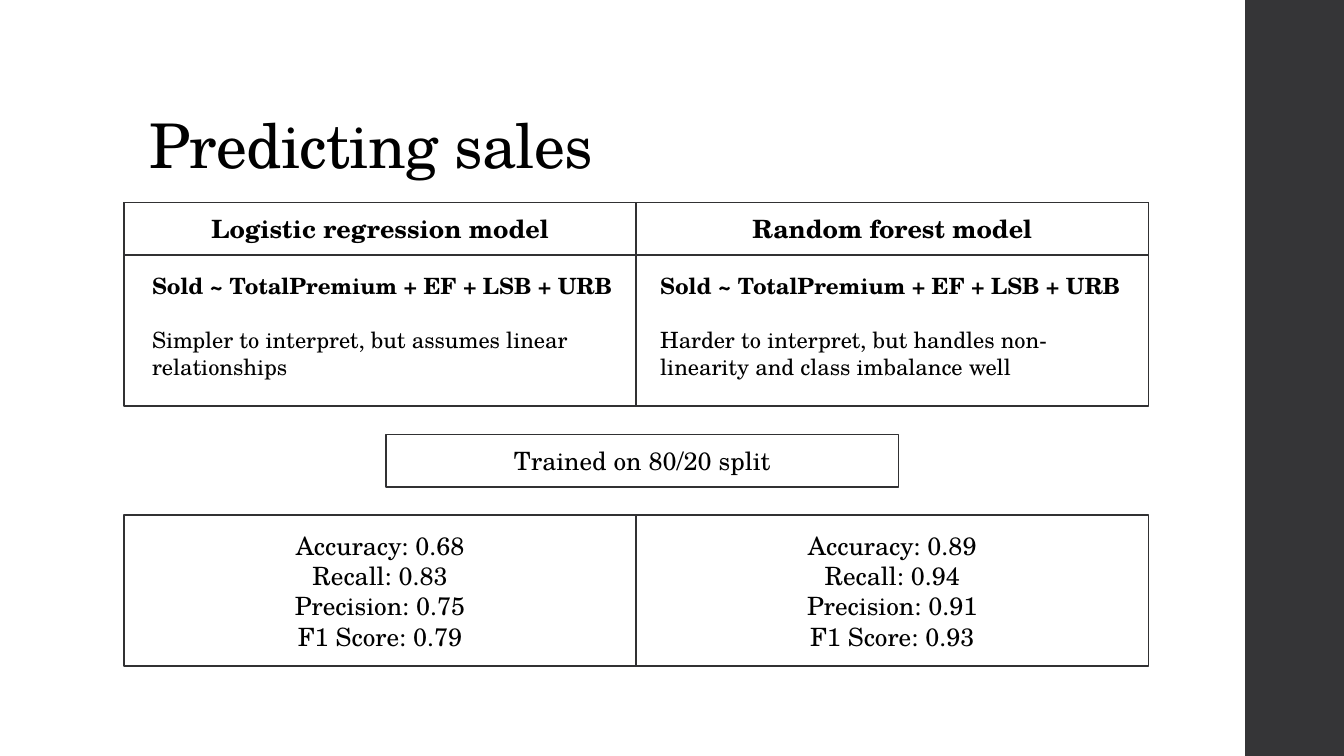
from dataclasses import dataclass

from pptx import Presentation
from pptx.dml.color import RGBColor
from pptx.enum.shapes import MSO_SHAPE as Kind
from pptx.enum.text import MSO_ANCHOR as Anchor, MSO_AUTO_SIZE as Fit, PP_ALIGN as Align
from pptx.shapes.autoshape import Shape
from pptx.slide import Slide
from pptx.text.text import TextFrame
from pptx.util import Inches, Pt

FONT = "TeX Gyre Schola"
INK, EDGE, BAND = "000000", "313133", "353537"
LEFT, WIDE, HEAD = 1.23, 5.08, 0.52
TOP, TALL = 2.01, 2.02
SPLIT, SCORE, DEEP = 4.31, 5.11, 1.5
NAMES = ("Accuracy", "Recall", "Precision", "F1 Score")


@dataclass(frozen=True)
class Model:
    name: str
    rule: str
    note: str
    inset: float
    span: float
    scores: tuple[str, ...]


MODELS = (
    Model("Logistic regression model", "Sold ~ TotalPremium + EF + LSB + URB",
          "Simpler to interpret, but assumes linear relationships",
          0.18, 4.84, ("0.68", "0.83", "0.75", "0.79")),
    Model("Random forest model", "Sold ~ TotalPremium + EF + LSB + URB",
          "Harder to interpret, but handles non-linearity and class imbalance well",
          0.14, 4.8, ("0.89", "0.94", "0.91", "0.93")),
)


def color(code: str) -> RGBColor:
    return RGBColor.from_string(code)


def write(frame: TextFrame, *lines: str, size: float = 18, bold: tuple[bool, ...] = (False,),
          align: Align = Align.CENTER, anchor: Anchor = Anchor.MIDDLE,
          gap: float = 0, lead: float = 1, track: int = 0) -> None:
    frame.word_wrap = True
    frame.auto_size = Fit.NONE
    frame.vertical_anchor = anchor
    for i, line in enumerate(lines):
        para = frame.paragraphs[0] if i == 0 else frame.add_paragraph()
        para.alignment = align
        para.line_spacing = lead
        para.space_before = Pt(gap if i else 0)
        run = para.add_run()
        run.text = line
        font = run.font
        font.name, font.size, font.bold = FONT, Pt(size), bold[i % len(bold)]
        font.color.rgb = color(INK)
        if track:
            run._r.get_or_add_rPr().set("spc", str(track))


def box(slide: Slide, x: float, y: float, w: float, h: float, fill: str = "") -> Shape:
    shape = slide.shapes.add_shape(Kind.RECTANGLE, Inches(x), Inches(y), Inches(w), Inches(h))
    shape.shadow.inherit = False
    if fill:
        shape.fill.solid()
        shape.fill.fore_color.rgb = color(fill)
        shape.line.fill.background()
    else:
        shape.fill.background()
        shape.line.color.rgb = color(EDGE)
        shape.line.width = Pt(1.1)
    return shape


def column(slide: Slide, model: Model, x: float) -> None:
    box(slide, x, TOP, WIDE, TALL)
    write(box(slide, x, TOP, WIDE, HEAD).text_frame, model.name, bold=(True,))
    note = slide.shapes.add_textbox(Inches(x + model.inset), Inches(2.65),
                                    Inches(model.span), Inches(1.18))
    write(note.text_frame, model.rule, model.note, size=16, bold=(True, False),
          align=Align.LEFT, anchor=Anchor.TOP, gap=19.3)
    scores = (f"{name}: {value}" for name, value in zip(NAMES, model.scores))
    write(box(slide, x, SCORE, WIDE, DEEP).text_frame, *scores)


def main() -> None:
    """Build the slide that compares two models for predicting sales."""
    deck = Presentation()
    deck.slide_width, deck.slide_height = Inches(13.33), Inches(7.5)
    slide = deck.slides.add_slide(deck.slide_layouts[5])
    box(slide, 12.35, 0, 0.98, 7.5, fill=BAND)
    title = slide.shapes.title
    title.left, title.top = Inches(1.38), Inches(0.4)
    title.width, title.height = Inches(10.6), Inches(1.45)
    write(title.text_frame, "Predicting sales", size=44, align=Align.LEFT,
          anchor=Anchor.BOTTOM, lead=0.9, track=-50)
    for i, model in enumerate(MODELS):
        column(slide, model, LEFT + i * WIDE)
    split = box(slide, 3.83, SPLIT, WIDE, HEAD)
    write(split.text_frame, "Trained on 80/20 split")
    deck.save("out.pptx")


if __name__ == "__main__":
    main()
